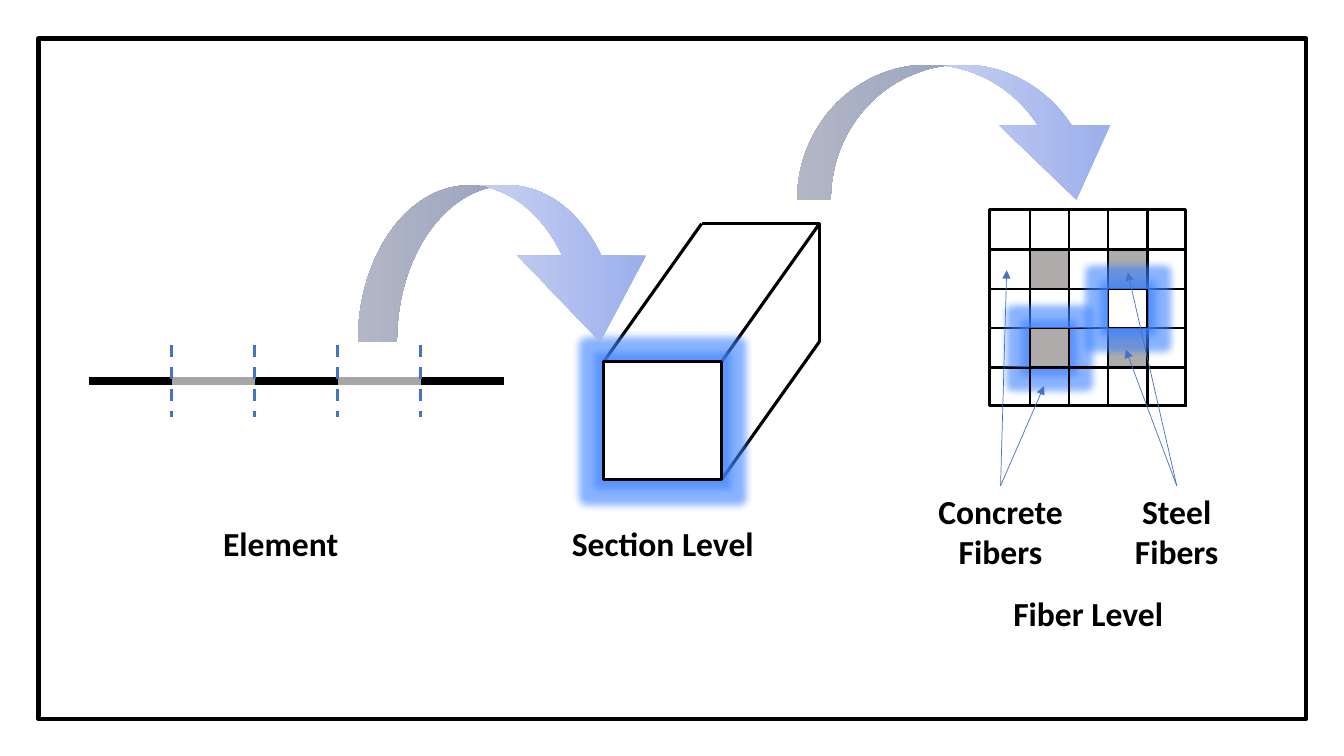
import pptx
import pptx.util
import pptx.dml.color
import pptx.enum.dml
import pptx.enum.shapes
import pptx.enum.text
import pptx.oxml
import pptx.oxml.ns

Cm, Pt = pptx.util.Cm, pptx.util.Pt
MSO = pptx.enum.shapes.MSO_SHAPE
NS = pptx.oxml.ns.nsdecls("a")

COLORS = {"ink": "000000", "paper": "FFFFFF", "grey": "A6A6A6", "steel": "AFABAB",
          "blue": "4472C4", "glow": "3B82FF",
          "arrow_1": "96ABEA", "arrow_2": "C0CBF0", "arrow_3": "E0E5F7"}
LABEL_FONT = {"name": "Calibri", "size": Pt(24), "bold": True}


def rgb(color):
    return pptx.dml.color.RGBColor.from_string(COLORS[color])


class Diagram:
    """Holds the slide and the style of its elements; lengths are in cm."""

    def __init__(self, slide):
        self.slide = slide
        self.shapes = slide.shapes

    def set_line(self, sp, color, width):
        sp.line.color.rgb = rgb(color)
        sp.line.width = Pt(width)

    def rect(self, x, y, w, h, width, fill=None, glow=False):
        sp = self.shapes.add_shape(MSO.RECTANGLE, Cm(x), Cm(y), Cm(w), Cm(h))
        sp.shadow.inherit = False
        if fill:
            sp.fill.solid()
            sp.fill.fore_color.rgb = rgb(fill)
        else:
            sp.fill.background()
        self.set_line(sp, "ink", width)
        if glow:
            effects = sp._element.spPr.find(pptx.oxml.ns.qn("a:effectLst"))
            effects.append(pptx.oxml.parse_xml(
                f'<a:glow {NS} rad="139700"><a:srgbClr val="{COLORS["glow"]}">'
                '<a:alpha val="60000"/></a:srgbClr></a:glow>'))
        return sp

    def line(self, start, end, color, width, dash=False, arrow=False, source=None):
        sp = self.shapes.add_connector(pptx.enum.shapes.MSO_CONNECTOR.STRAIGHT,
                                       *map(Cm, (*start, *end)))
        self.set_line(sp, color, width)
        if dash:
            sp.line.dash_style = pptx.enum.dml.MSO_LINE.DASH
        if arrow:
            sp.line._get_or_add_ln().append(
                pptx.oxml.parse_xml(f'<a:tailEnd {NS} type="triangle"/>'))
        if source is not None:
            sp.begin_connect(source, 0)
        sp._element.spPr.append(pptx.oxml.parse_xml(f"<a:effectLst {NS}/>"))
        return sp

    def outline(self, points, width):
        pts = [(Cm(x), Cm(y)) for x, y in points]
        fb = self.shapes.build_freeform(*pts[0], scale=1.0)
        fb.add_line_segments(pts[1:], close=False)
        sp = fb.convert_to_shape()
        sp.shadow.inherit = False
        sp.fill.background()
        self.set_line(sp, "ink", width)

    def curved_arrow(self, x, y, w, h):
        sp = self.shapes.add_shape(MSO.CURVED_DOWN_ARROW, Cm(x), Cm(y), Cm(w), Cm(h))
        sp.shadow.inherit = False
        for i, value in enumerate((0.25, 0.82, 0.55)):
            sp.adjustments[i] = value
        sp.line.fill.background()
        stops = "".join(
            f'<a:gs pos="{pos}"><a:srgbClr val="{COLORS[c]}"/></a:gs>'
            for pos, c in ((0, "arrow_1"), (50000, "arrow_2"), (100000, "arrow_3")))
        sp._element.spPr.find(pptx.oxml.ns.qn("a:prstGeom")).addnext(
            pptx.oxml.parse_xml(f'<a:gradFill {NS} rotWithShape="1"><a:gsLst>{stops}'
                                '</a:gsLst><a:lin ang="10800000" scaled="0"/></a:gradFill>'))

    def label(self, x, y, *lines):
        h = 1.27 if len(lines) == 1 else 2.31
        sp = self.shapes.add_textbox(Cm(x), Cm(y), Cm(8.41), Cm(h))
        tf = sp.text_frame
        tf.word_wrap = True
        for i, text in enumerate(lines):
            p = tf.add_paragraph() if i else tf.paragraphs[0]
            p.alignment = pptx.enum.text.PP_ALIGN.CENTER
            r = p.add_run()
            r.text = text
            for key, value in LABEL_FONT.items():
                setattr(r.font, key, value)
            r.font.color.rgb = rgb("ink")
        return sp


def main():
    prs = pptx.Presentation()
    prs.slide_width, prs.slide_height = Cm(33.87), Cm(19.05)
    d = Diagram(prs.slides.add_slide(prs.slide_layouts[6]))

    # Frame
    d.rect(0.97, 0.97, 31.95, 17.15, 3)

    # Section: prism with a glowing front face
    x, y, side, dx, dy = 15.21, 9.12, 2.97, 2.47, -3.48
    back_x, back_y = x + dx, y + dy
    d.outline([(back_x, back_y), (back_x + side, back_y),
               (back_x + side, back_y + side)], 2.25)
    for cx, cy in ((x, y), (x + side, y), (x + side, y + side)):
        d.line((cx + dx, cy + dy), (cx, cy), "ink", 2.25)
    d.rect(x, y, side, side, 2.25, "paper", glow=True)

    # Element: bar of five segments with dashed cuts between them
    x, y, seg, count = 2.24, 9.6, 2.09, 5
    for i in range(count):
        d.line((x + i * seg, y), (x + (i + 1) * seg, y),
               "grey" if i % 2 else "ink", 6)
    for i in range(1, count):
        d.line((x + i * seg, 8.69), (x + i * seg, 10.52), "blue", 2.25, dash=True)

    # Fibers: 5 by 5 grid, the glowing concrete cell in front
    x, y, pitch, cell = 24.97, 5.31, 0.99, 0.97
    steel = {(1, 1), (1, 3), (3, 1), (3, 3)}
    glow_steel, glow_concrete = (3, 1), (2, 3)
    for row in range(5):
        for col in range(5):
            if (row, col) != glow_concrete:
                d.rect(x + col * pitch, y + row * pitch, cell, cell, 1,
                       "steel" if (row, col) in steel else None,
                       glow=(row, col) == glow_steel)
    d.rect(24.94, 5.28, 4.93, 4.93, 2.25)
    row, col = glow_concrete
    d.rect(x + col * pitch, y + row * pitch, cell, cell, 1, "paper", glow=True)

    # Arrows between levels
    d.curved_arrow(9.02, 4.67, 7.72, 3.94)
    d.curved_arrow(20.09, 1.63, 8.43, 3.4)

    # Level labels
    d.label(2.87, 13.06, "Element")
    d.label(12.5, 13.06, "Section Level")
    d.label(23.22, 14.81, "Fiber Level")

    # Fiber labels with pointers to their cells
    for left, name, targets in (
            (21.01, "Concrete", ((25.37, 6.81), (26.31, 9.73))),
            (25.45, "Steel", ((28.42, 6.86), (28.37, 8.81)))):
        sp = d.label(left, 12.24, name, "Fibers")
        for target in targets:
            d.line((left + 4.2, 12.24), target, "blue", 0.5, arrow=True, source=sp)

    prs.save("out.pptx")


if __name__ == "__main__":
    main()
